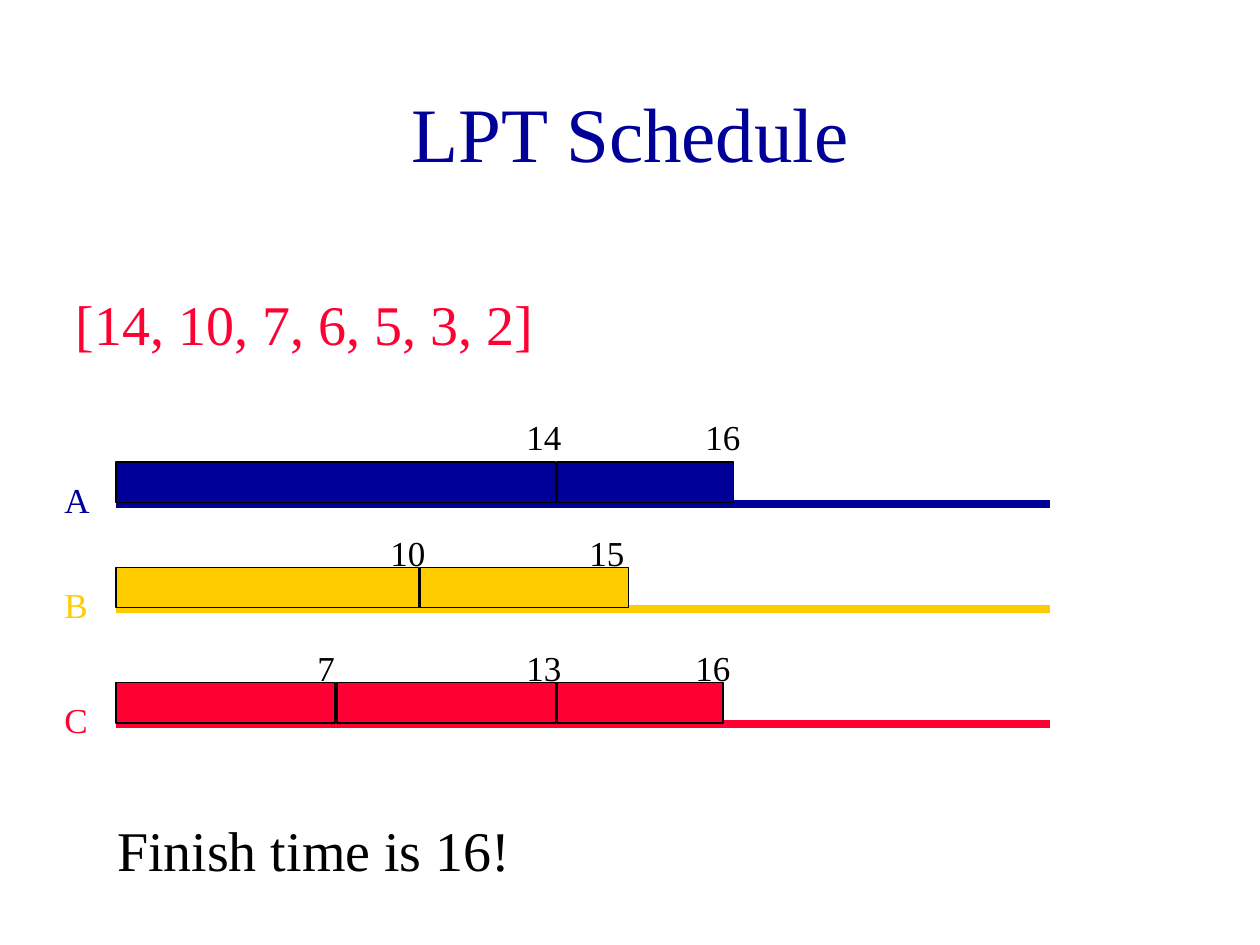
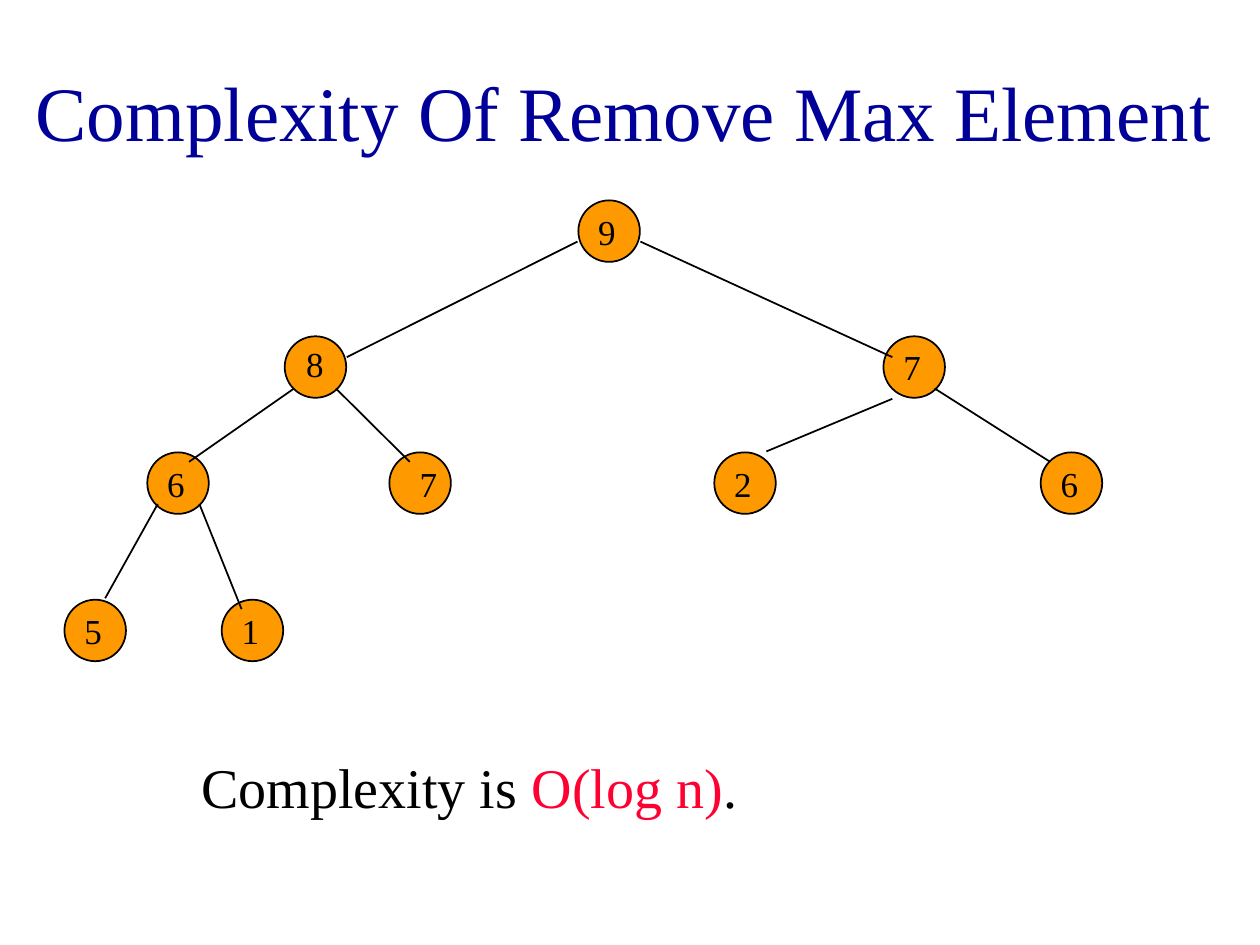
"""Build two slides: an LPT schedule and the cost of removing the max of a heap."""
from dataclasses import dataclass

from lxml.etree import SubElement
from pptx import Presentation
from pptx.dml.color import RGBColor as Rgb
from pptx.enum.shapes import MSO_CONNECTOR as Link, MSO_SHAPE as Kind
from pptx.enum.text import MSO_ANCHOR as Anchor, PP_ALIGN as Align
from pptx.oxml.ns import qn
from pptx.util import Cm, Pt


@dataclass(frozen=True)
class Theme:
    font: str = "Times New Roman"
    navy: str = "000099"
    gold: str = "FFCC00"
    red: str = "FF0033"
    amber: str = "FF9900"
    black: str = "000000"
    title: int = 44
    body: int = 32
    small: int = 20
    thin: float = 1
    thick: float = 4.5


T = Theme()

JOBS = "[14, 10, 7, 6, 5, 3, 2]"
FINISH = "Finish time is 16!"
LANES = [
    {"name": "A", "color": T.navy, "y": 10.16, "lift": 1.9,
     "jobs": [("14", 11.2, 10.36), ("16", 14.79, 13.97)]},
    {"name": "B", "color": T.gold, "y": 12.28, "lift": 1.69,
     "jobs": [("10", 8.44, 7.62), ("15", 12.67, 11.63)]},
    {"name": "C", "color": T.red, "y": 14.6, "lift": 1.7,
     "jobs": [("7", 6.76, 6.15), ("13", 11.2, 10.36), ("16", 14.58, 13.77)]},
]
AXIS = (2.33, 21.17)
BAR = {"left": 2.34, "lift": 0.84, "high": 0.81, "gap": 0.03}

COST = [("Complexity is ", T.black), ("O(log n)", T.red), (".", T.black)]
ROWS = [4.04, 6.78, 9.12, 12.09]
NODES = [
    ("9", 11.66, 0), ("8", 5.74, 1), ("7", 17.81, 1),
    ("6", 2.97, 2), ("7", 7.85, 2), ("2", 14.4, 2), ("6", 20.98, 2),
    ("5", 1.3, 3), ("1", 4.47, 3),
]
NUDGE = {1: (0.18, 0), 4: (0.36, 0.07)}
BASE = (0.15, 0.07)
SIZE = 1.24
EDGES = [
    (11.64, 4.87, 6.99, 7.2), (12.91, 4.87, 17.99, 7.2),
    (5.93, 7.83, 3.81, 9.31), (6.77, 7.83, 8.26, 9.31),
    (17.99, 8.04, 15.45, 9.1), (18.84, 7.83, 21.17, 9.31),
    (3.18, 10.16, 2.12, 12.06), (4.02, 10.16, 4.87, 12.28),
]


def write(slide, box, parts, size, wrap=True, align=Align.LEFT, anchor=Anchor.TOP):
    frame = slide.shapes.add_textbox(*map(Cm, box)).text_frame
    frame.word_wrap = wrap
    frame.vertical_anchor = anchor
    para = frame.paragraphs[0]
    para.alignment = align
    for text, color in parts:
        run = para.add_run()
        run.text = text
        run.font.name = T.font
        run.font.size = Pt(size)
        run.font.color.rgb = Rgb.from_string(color)


def head(slide, text, box):
    write(slide, box, [(text, T.navy)], T.title, align=Align.CENTER, anchor=Anchor.MIDDLE)


def block(slide, kind, box, color):
    shape = slide.shapes.add_shape(kind, *map(Cm, box))
    shape.shadow.inherit = False
    shape.fill.solid()
    shape.fill.fore_color.rgb = Rgb.from_string(color)
    shape.line.color.rgb = Rgb.from_string(T.black)
    shape.line.width = Pt(T.thin)


def rule(slide, ends, color, width):
    line = slide.shapes.add_connector(Link.STRAIGHT, *map(Cm, ends))
    line.line.color.rgb = Rgb.from_string(color)
    line.line.width = Pt(width)
    SubElement(line._element.spPr, qn("a:effectLst"))


def plan(slide):
    head(slide, "LPT Schedule", (1.91, 1.07, 21.59, 3.18))
    write(slide, (1.27, 5.72, 20.52, 9.53), [(JOBS, T.red)], T.body)
    for lane in LANES:
        y, color = lane["y"], lane["color"]
        rule(slide, (AXIS[0], y, AXIS[1], y), color, T.thick)
        write(slide, (1.05, y - 0.64, 1.08, 1.09), [(lane["name"], color)], T.small)
        left = BAR["left"]
        for mark, end, x in lane["jobs"]:
            box = (left, y - BAR["lift"], end - left, BAR["high"])
            block(slide, Kind.RECTANGLE, box, color)
            write(slide, (x, y - lane["lift"], 1.47, 1.09), [(mark, T.black)], T.small)
            left = end + BAR["gap"]
    write(slide, (2.11, 16.31, 17.58, 1.63), [(FINISH, T.black)], T.body)


def heap(slide):
    head(slide, "Complexity Of Remove Max Element", (0.2, 0.64, 24.77, 3.18))
    write(slide, (3.81, 15.04, 17.78, 0.64), COST, T.body)
    for _, x, row in NODES:
        block(slide, Kind.OVAL, (x, ROWS[row], SIZE, SIZE), T.amber)
    for ends in EDGES:
        rule(slide, ends, T.black, T.thin)
    for i, (text, x, row) in enumerate(NODES):
        dx, dy = NUDGE.get(i, BASE)
        box = (x + dx, ROWS[row] + dy, 0.86, 1.09)
        write(slide, box, [(text, T.black)], T.small, wrap=False)


def main():
    deck = Presentation()
    deck.slide_width, deck.slide_height = Cm(25.4), Cm(19.05)
    for draw in (plan, heap):
        draw(deck.slides.add_slide(deck.slide_layouts[6]))
    deck.save("out.pptx")


if __name__ == "__main__":
    main()
